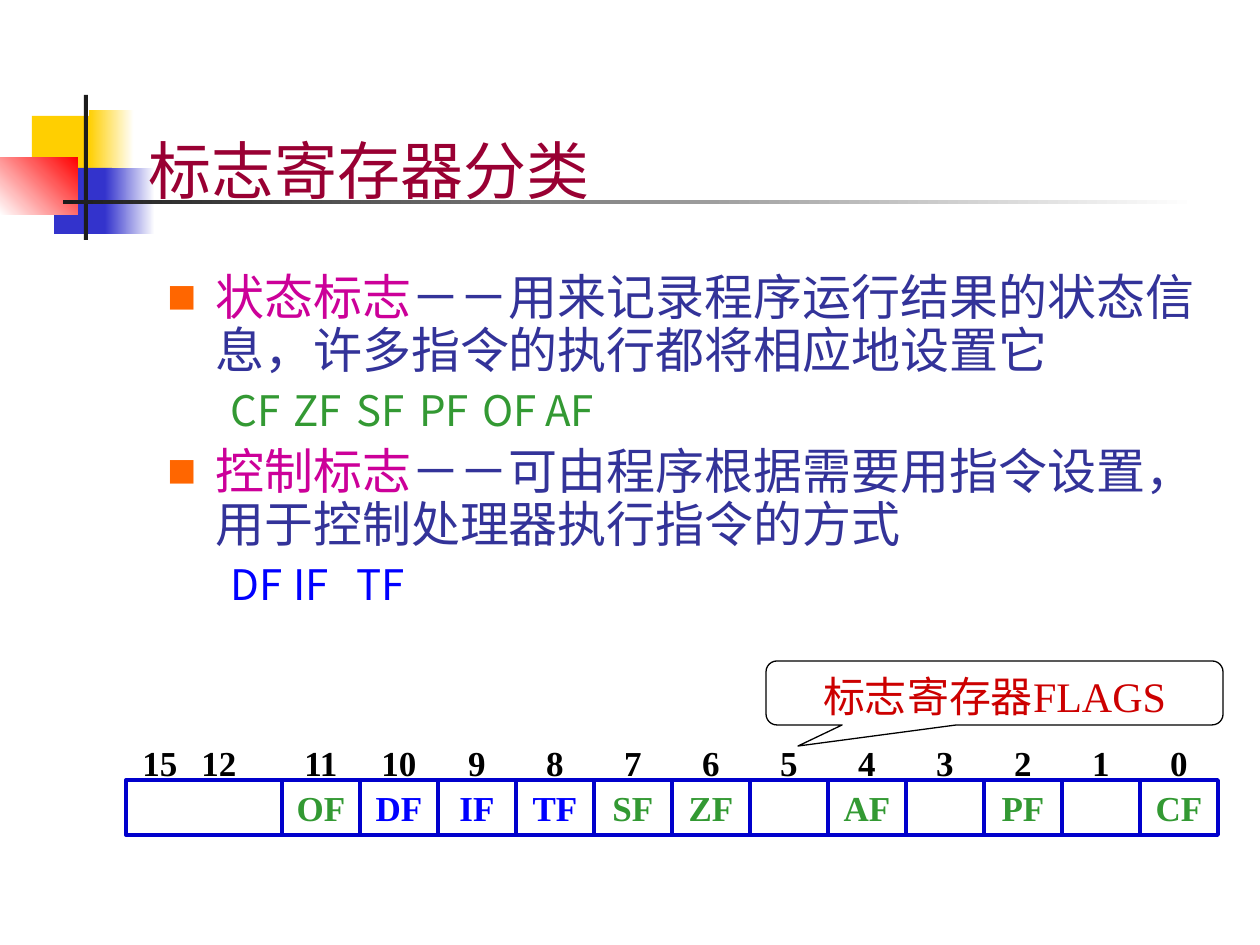
from lxml.etree import SubElement
from pptx import Presentation
from pptx.dml.color import RGBColor
from pptx.enum.shapes import MSO_SHAPE as SHAPE
from pptx.enum.text import MSO_ANCHOR as ANCHOR, MSO_AUTO_SIZE as AUTO, PP_ALIGN as ALIGN
from pptx.oxml.ns import qn
from pptx.util import Emu, Pt

SANS, SERIF = "Noto Sans CJK SC", "Times New Roman"
GREEN, BLUE, BLACK = "339933", "0000FF", "000000"
INDIGO, MAGENTA = "333399", "CC0099"
CELL, LEFT, TOP, HEIGHT = 78, 126, 780, 55
FLAGS = {11: "OF", 10: "DF", 9: "IF", 8: "TF", 7: "SF", 6: "ZF", 4: "AF", 2: "PF", 0: "CF"}
CONTROL = {"DF", "IF", "TF"}


def px(n):
    return Emu(round(n * 914400 / 126))


def rgb(value):
    return RGBColor.from_string(value)


class Deck:
    """Holds the slide style and draws each kind of element in px."""

    def __init__(self):
        self.prs = Presentation()
        self.prs.slide_width, self.prs.slide_height = px(1260), px(945)
        self.s = self.prs.slides.add_slide(self.prs.slide_layouts[6])

    def shape(self, box, kind=SHAPE.RECTANGLE, fill=None, line=None, width=1):
        sp = self.s.shapes.add_shape(kind, *map(px, box))
        sp.shadow.inherit = False
        if fill:
            sp.fill.solid()
            sp.fill.fore_color.rgb = rgb(fill)
        else:
            sp.fill.background()
        if line:
            sp.line.color.rgb = rgb(line)
            sp.line.width = Pt(width)
        else:
            sp.line.fill.background()
        return sp

    def fade(self, box, start, end, angle=0):
        fill = self.shape(box).fill
        fill.gradient()
        fill.gradient_angle = angle
        for stop, color in zip(fill.gradient_stops, (start, end)):
            stop.color.rgb = rgb(color)

    def textbox(self, box, anchor=ANCHOR.TOP):
        tf = self.s.shapes.add_textbox(*map(px, box)).text_frame
        tf.word_wrap = True
        tf.vertical_anchor = anchor
        return tf

    def font(self, r, size, color, name=SANS, bold=False):
        r.font.size, r.font.bold, r.font.name = Pt(size), bold, name
        r.font.color.rgb = rgb(color)
        SubElement(r.font._element, qn("a:ea"), typeface=SANS)

    def tabs(self, p, indent, stops):
        pPr = p._p.get_or_add_pPr()
        pPr.set("marL", "0")
        pPr.set("indent", str(px(indent)))
        tabs = SubElement(pPr, qn("a:tabLst"))
        for stop in stops:
            SubElement(tabs, qn("a:tab"), pos=str(px(stop)), algn="l")

    def space(self, p, before, after):
        p.line_spacing = 0.9
        p.space_before, p.space_after = Pt(before), Pt(after)

    def bullet(self, p, term, meaning):
        self.space(p, 5.2, 1.8)
        pPr = p._p.get_or_add_pPr()
        pPr.set("marL", str(px(48)))
        pPr.set("indent", str(px(-48)))
        SubElement(SubElement(pPr, qn("a:buClr")), qn("a:srgbClr"), val="FF6600")
        SubElement(pPr, qn("a:buSzPct"), val="60000")
        SubElement(pPr, qn("a:buFont"), typeface=SANS)
        SubElement(pPr, qn("a:buChar"), char="■")
        for text, color in ((term, MAGENTA), (meaning, INDIGO)):
            r = p.add_run()
            r.text = text
            self.font(r, 28, color)

    def flag_list(self, p, names, color, stops):
        p.text = "\t".join(names)
        p.level = 1
        self.space(p, 4.5, 1.5)
        self.tabs(p, 63, stops)
        self.font(p.runs[0], 24, color)

    def bit_text(self, tf, text, color):
        tf.word_wrap, tf.auto_size = True, AUTO.SHAPE_TO_FIT_TEXT
        tf.vertical_anchor = ANCHOR.TOP
        tf.text = text
        p = tf.paragraphs[0]
        p.alignment, p.space_before = ALIGN.CENTER, Pt(12.5)
        self.font(p.runs[0], 20, color, SERIF, True)
        return p

    def cell(self, x, width, label, flag=None):
        sp = self.shape((x, TOP, width, HEIGHT), line="0000CC", width=2.25)
        if flag:
            self.bit_text(sp.text_frame, flag, BLUE if flag in CONTROL else GREEN)
        return self.bit_text(self.textbox((x, TOP - 45, width, HEIGHT)), label, BLACK)

    def callout(self, box, text):
        sp = self.shape(box, SHAPE.ROUNDED_RECTANGULAR_CALLOUT, line=BLACK, width=0.75)
        for i, value in enumerate((-0.43, 0.83, 0.17)):
            sp.adjustments[i] = value
        tf = sp.text_frame
        tf.text = text
        tf.vertical_anchor = ANCHOR.TOP
        p = tf.paragraphs[0]
        p.alignment = ALIGN.CENTER
        self.font(p.runs[0], 24, "CC0000", SERIF)


def main():
    d = Deck()
    d.shape((32, 116, 60, 66), fill="FFCF01")
    d.fade((89, 110, 45, 66), "FFCF01", "FFFFFF")
    d.shape((54, 168, 58, 66), fill="3333CC")
    d.fade((105, 168, 50, 66), "3333CC", "FFFFFF")
    d.fade((0, 157, 78, 58), "FFFFFF", "FF0000", 45)
    d.shape((84, 95, 4, 145), fill="1C1C1C")
    d.fade((63, 200, 1134, 4), "1C1C1C", "FFFFFF")

    tf = d.textbox((136, 73, 1074, 140), ANCHOR.BOTTOM)
    tf.text = "标志寄存器分类"
    d.font(tf.paragraphs[0].runs[0], 36, "990033")

    tf = d.textbox((155, 267, 1070, 457))
    d.bullet(tf.paragraphs[0], "状态标志",
             "－－用来记录程序运行结果的状态信息，许多指令的执行都将相应地设置它")
    d.flag_list(tf.add_paragraph(), ("CF", "ZF", "SF", "PF", "OF", "AF"), GREEN,
                (131, 199, 266, 333, 406))
    d.bullet(tf.add_paragraph(), "控制标志",
             "－－可由程序根据需要用指令设置，用于控制处理器执行指令的方式")
    d.flag_list(tf.add_paragraph(), ("DF", "IF", "TF"), BLUE, (143, 206))

    p = d.cell(LEFT, 2 * CELL, "15\t12")
    p.alignment = ALIGN.LEFT
    d.tabs(p, 4, (92,))
    for bit in range(11, -1, -1):
        d.cell(LEFT + (13 - bit) * CELL, CELL, str(bit), FLAGS.get(bit))

    d.callout((766, 661, 457, 64), "标志寄存器FLAGS")
    d.prs.save("out.pptx")


if __name__ == "__main__":
    main()
